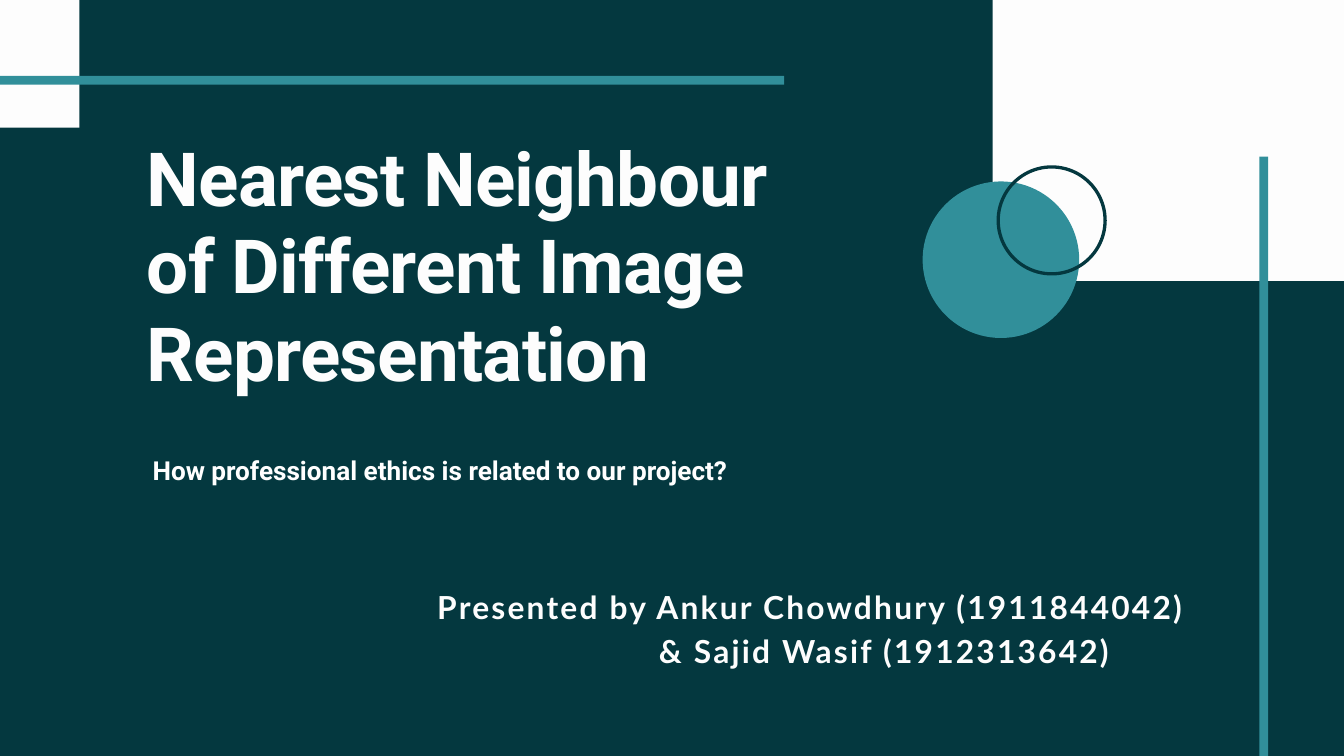
"""Build the title slide of a talk on nearest neighbours of image representations."""
import pptx
import pptx.dml.color
import pptx.enum.shapes
import pptx.enum.text
import pptx.util

Inches, Pt = pptx.util.Inches, pptx.util.Pt
RGBColor = pptx.dml.color.RGBColor
MSO_SHAPE = pptx.enum.shapes.MSO_SHAPE
PP_ALIGN = pptx.enum.text.PP_ALIGN

DARK = RGBColor(0x04, 0x38, 0x3F)
TEAL = RGBColor(0x31, 0x8F, 0x9A)
PAPER = RGBColor(0xFD, 0xFD, 0xFD)
WHITE = RGBColor(0xFF, 0xFF, 0xFF)

TITLE = "Nearest Neighbour of Different Image Representation"
QUESTION = "How professional ethics is related to our project?"
PRESENTERS = ["Presented by Ankur Chowdhury (1911844042)", "& Sajid Wasif (1912313642)"]
PRESENTERS_BOX = (5.85, 8.65, 12.42, 1.97)
SECOND_LINE_INDENT = 2.2
RING_THICKNESS = 0.03

DECORATION = [
    (MSO_SHAPE.RECTANGLE, (14.77, 0, 5.23, 4.18), PAPER),
    (MSO_SHAPE.OVAL, (13.73, 2.7, 2.33, 2.33), TEAL),
    (MSO_SHAPE.DONUT, (14.83, 2.46, 1.64, 1.64), DARK),
    (MSO_SHAPE.RECTANGLE, (18.74, 2.33, 0.13, 8.92), TEAL),
    (MSO_SHAPE.RECTANGLE, (0, 0, 1.18, 1.9), PAPER),
    (MSO_SHAPE.RECTANGLE, (0, 1.13, 11.67, 0.13), TEAL),
]


def add_decoration(s, kind, box, color):
    sp = s.shapes.add_shape(kind, *map(Inches, box))
    sp.shadow.inherit = False
    sp.fill.solid()
    sp.fill.fore_color.rgb = color
    sp.line.fill.background()
    if kind == MSO_SHAPE.DONUT:
        sp.adjustments[0] = RING_THICKNESS


def place(sp, box):
    sp.left, sp.top, sp.width, sp.height = map(Inches, box)
    return sp


def set_text(sp, lines, font, size, color, align, leading=1.0, spacing=None, insets=(0, 0)):
    tf = sp.text_frame
    tf.text = "\n".join(lines)
    tf.word_wrap = True
    tf.auto_size = pptx.enum.text.MSO_AUTO_SIZE.NONE
    tf.vertical_anchor = pptx.enum.text.MSO_ANCHOR.TOP
    tf.margin_left = tf.margin_right = Inches(insets[0])
    tf.margin_top = tf.margin_bottom = Inches(insets[1])
    for p in tf.paragraphs:
        p.alignment = align
        p.line_spacing = leading
        p.space_before = Pt(0)
        for r in p.runs:
            r.font.name, r.font.size, r.font.bold = font, Pt(size), True
            r.font.color.rgb = color
            if spacing is not None:
                r.font._element.set("spc", str(round(spacing * 100)))


def main():
    prs = pptx.Presentation()
    prs.slide_width, prs.slide_height = Inches(20), Inches(11.25)
    s = prs.slides.add_slide(prs.slide_layouts[0])
    s.background.fill.solid()
    s.background.fill.fore_color.rgb = DARK

    for item in DECORATION:
        add_decoration(s, *item)

    title = place(s.shapes.title, (2.18, 2, 9.27, 3.91))
    set_text(title, [TITLE], "Roboto", 80, PAPER, PP_ALIGN.LEFT, leading=Pt(93.4), spacing=-0.8)
    question = place(s.placeholders[1], (2.17, 6.71, 10.24, 0.6))
    set_text(question, [QUESTION], "Roboto", 28, WHITE, PP_ALIGN.LEFT, insets=(0.1, 0.05))
    presenters = s.shapes.add_textbox(*map(Inches, PRESENTERS_BOX))
    set_text(presenters, PRESENTERS, "Lato", 34, PAPER, PP_ALIGN.CENTER,
             leading=Pt(47.6), spacing=2.4)
    p = presenters.text_frame.paragraphs[1]
    p._p.get_or_add_pPr().set("marL", str(Inches(SECOND_LINE_INDENT)))

    prs.save("out.pptx")


if __name__ == "__main__":
    main()
